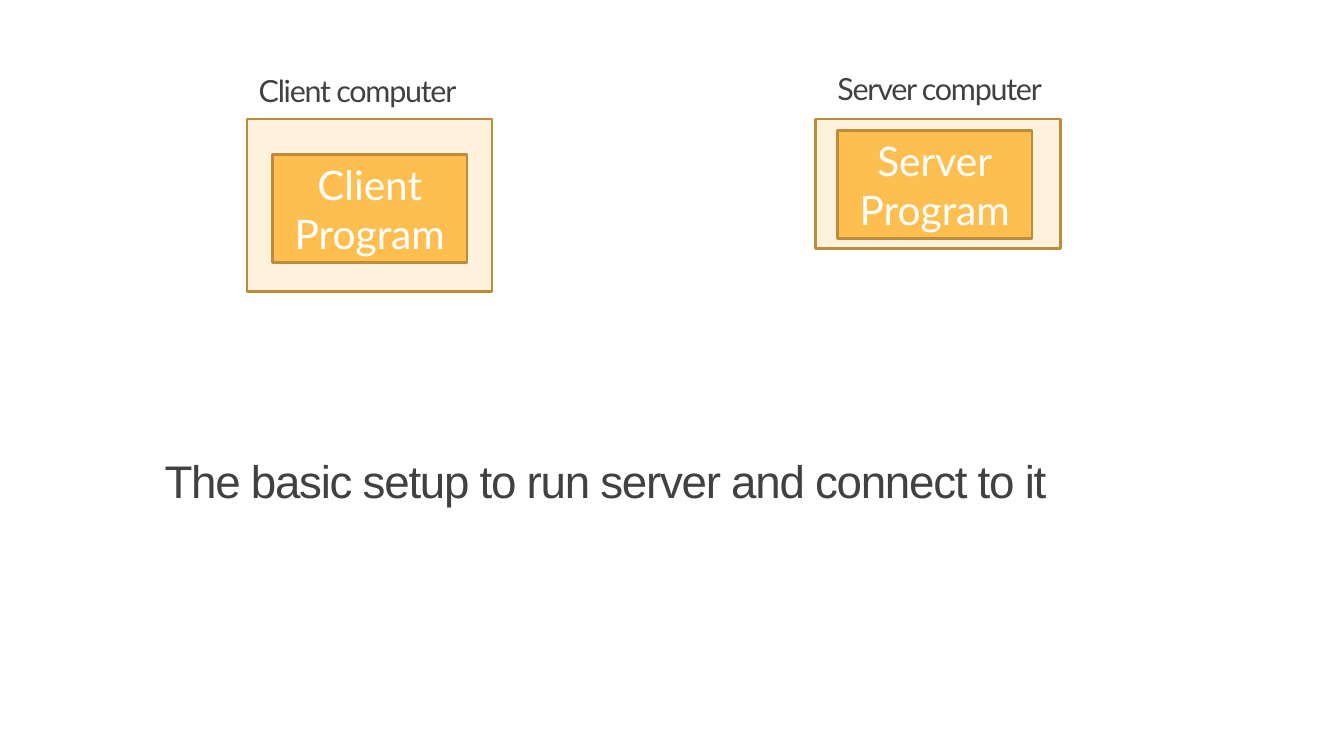
import dataclasses
import pptx
import pptx.dml.color
import pptx.enum.shapes
import pptx.enum.text
import pptx.util

Inches = pptx.util.Inches
Pt = pptx.util.Pt
Align = pptx.enum.text.PP_ALIGN
Anchor = pptx.enum.text.MSO_ANCHOR
AutoSize = pptx.enum.text.MSO_AUTO_SIZE


def rgb(value):
    return pptx.dml.color.RGBColor.from_string(value)


@dataclasses.dataclass(frozen=True)
class Theme:
    computer_fill: str = "FFF2DC"
    program_fill: str = "FFBE50"
    border: str = "BD8D3B"
    dark_text: str = "414141"
    light_text: str = "FFFFFF"
    label_font: str = "Lato"
    title_font: str = "Arial"
    label_size: int = 24
    program_size: int = 32
    title_size: int = 36
    border_width: int = 2
    tracking: int = -100


THEME = Theme()


def set_values(target, values):
    for name, value in values.items():
        setattr(target, name, value)


def place(shape, box):
    names = ("left", "top", "width", "height")
    set_values(shape, {name: Inches(value) for name, value in zip(names, box)})


def add_rectangle(slide, box, fill):
    shape = slide.shapes.add_shape(
        pptx.enum.shapes.MSO_SHAPE.RECTANGLE, *map(Inches, box))
    shape.shadow.inherit = False
    shape.fill.solid()
    shape.fill.fore_color.rgb = rgb(fill)
    shape.line.color.rgb = rgb(THEME.border)
    shape.line.width = Pt(THEME.border_width)
    return shape


def write_text(shape, text, font, size, color, align, paragraph_format=None):
    shape.text_frame.text = text
    for paragraph in shape.text_frame.paragraphs:
        set_values(paragraph, {"alignment": align, **(paragraph_format or {})})
        for run in paragraph.runs:
            set_values(run.font, {"name": font, "size": Pt(size)})
            run.font.color.rgb = rgb(color)


def write_heading(shape, text, font, size):
    set_values(shape.text_frame, {
        "margin_left": 0, "margin_top": 0, "margin_right": 0, "margin_bottom": 0,
        "word_wrap": False, "auto_size": AutoSize.SHAPE_TO_FIT_TEXT,
        "vertical_anchor": Anchor.TOP,
    })
    write_text(shape, text, font, size, THEME.dark_text, Align.LEFT,
               {"line_spacing": 0.83, "space_before": Pt(0)})
    for run in shape.text_frame.paragraphs[0].runs:
        run.font._element.set("spc", str(THEME.tracking))


def add_computer(slide, box, role, label_offset, label_width, program_offset):
    left, top, width, height = box
    add_rectangle(slide, box, THEME.computer_fill)

    program_box = (left + program_offset[0], top + program_offset[1], 2.13, 1.18)
    program = add_rectangle(slide, program_box, THEME.program_fill)
    program.text_frame.vertical_anchor = Anchor.MIDDLE
    write_text(program, f"{role}\nProgram", THEME.label_font,
               THEME.program_size, THEME.light_text, Align.CENTER)

    label_box = (left + label_offset[0], top + label_offset[1], label_width, 0.34)
    label = slide.shapes.add_textbox(*map(Inches, label_box))
    write_heading(label, f"{role} computer", THEME.label_font, THEME.label_size)


def add_title(slide, box):
    title = slide.shapes.title
    place(title, box)
    write_heading(title, "The basic setup to run server and connect to it",
                  THEME.title_font, THEME.title_size)


def main():
    presentation = pptx.Presentation()
    set_values(presentation, {
        "slide_width": Inches(14.7), "slide_height": Inches(8.27)})
    slide = presentation.slides.add_slide(presentation.slide_layouts[5])
    add_computer(slide, (8.92, 1.3, 2.68, 1.42), "Server",
                 (0.24, -0.47), 2.36, (0.24, 0.13))
    add_computer(slide, (2.7, 1.3, 2.68, 1.89), "Client",
                 (0.13, -0.44), 2.27, (0.28, 0.39))
    add_title(slide, (1.8, 5.05, 9.72, 0.5))
    presentation.save("out.pptx")


if __name__ == "__main__":
    main()
